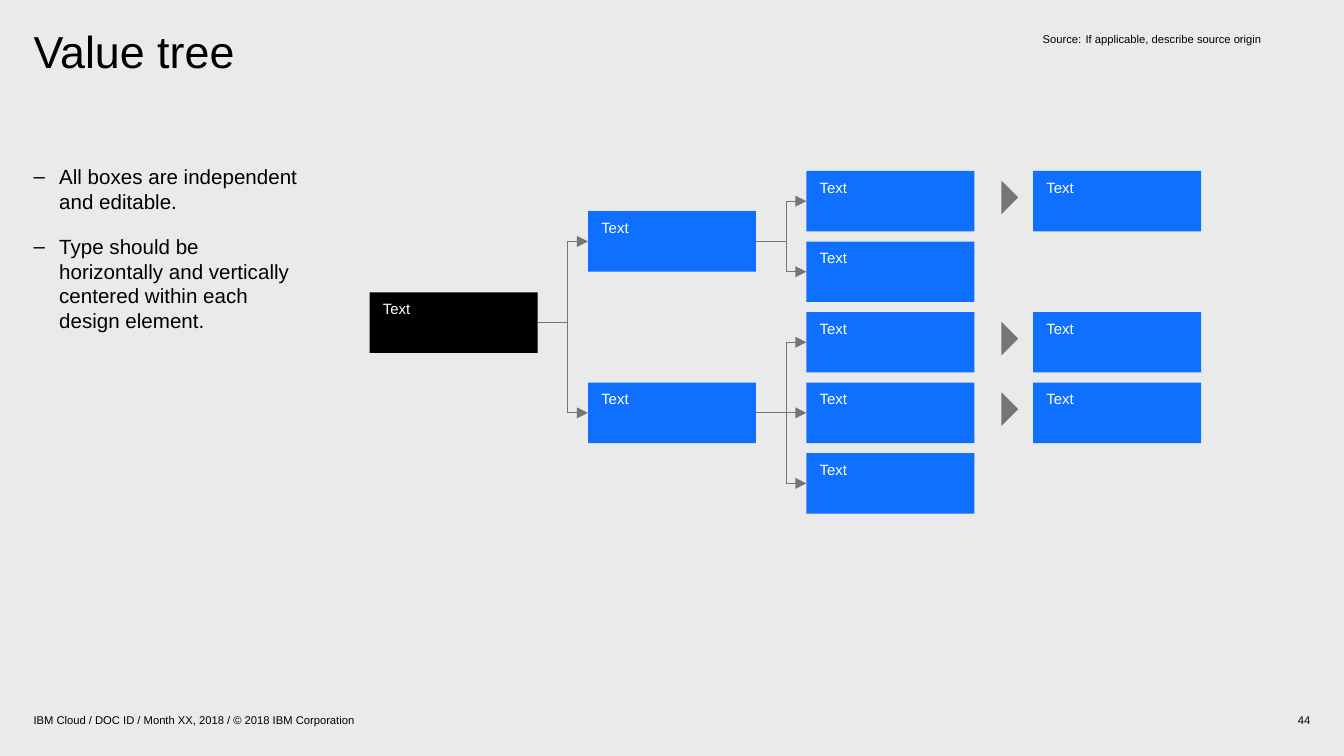
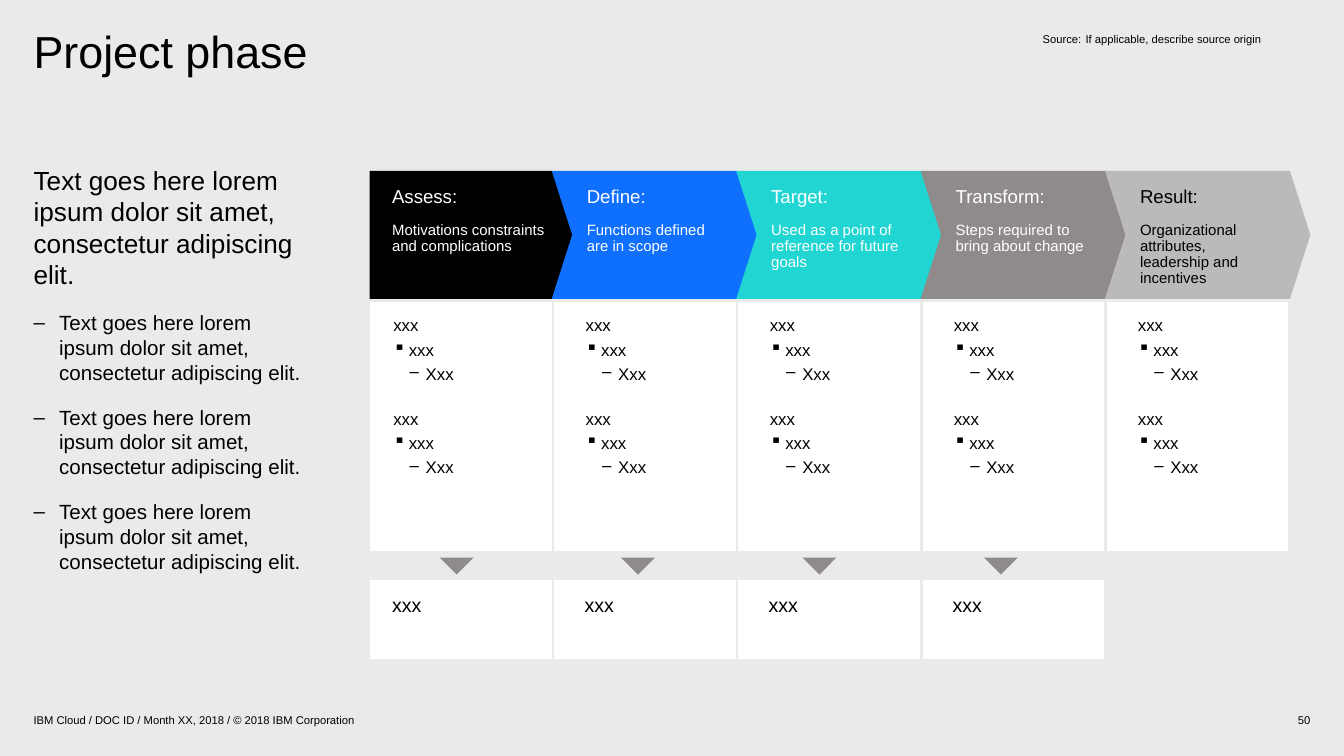
from lxml import etree
from pptx import Presentation
from pptx.dml.color import RGBColor
from pptx.enum.shapes import MSO_CONNECTOR, MSO_SHAPE
from pptx.enum.text import MSO_ANCHOR, MSO_AUTO_SIZE, PP_ALIGN
from pptx.oxml.ns import qn
from pptx.util import Pt

RECTANGLE = MSO_SHAPE.RECTANGLE
TRIANGLE = MSO_SHAPE.ISOSCELES_TRIANGLE
PENTAGON = MSO_SHAPE.PENTAGON
CHEVRON = MSO_SHAPE.CHEVRON
STRAIGHT = MSO_CONNECTOR.STRAIGHT
TOP, MIDDLE = MSO_ANCHOR.TOP, MSO_ANCHOR.MIDDLE
LEFT, RIGHT = PP_ALIGN.LEFT, PP_ALIGN.RIGHT
NO_FIT = MSO_AUTO_SIZE.NONE

FONT = "Arial"
BLACK, WHITE, PAPER = "000000", "FFFFFF", "EAEAEA"
BLUE, TEAL = "0F6FFF", "20D5D2"
LINE_GREY, MID_GREY, LIGHT_GREY = "757575", "8F8B8B", "BCB9B9"
NO_INSETS = (0, 0, 0, 0)
FOOTER = "IBM Cloud / DOC ID / Month XX, 2018 / © 2018 IBM Corporation"
SOURCE = "Source:\tIf applicable, describe source origin"
LOREM = "Text goes here lorem ipsum dolor sit amet, consectetur adipiscing elit."


def color(value):
    return RGBColor.from_string(value)


def apply(target, values):
    for name, value in values.items():
        setattr(target, name, value)


def line(text, size, ink=BLACK, level=0, left=0, hang=0, bullet=None, **layout):
    return dict(text=text, size=size, ink=ink, level=level, left=left,
                hang=hang, bullet=bullet, layout=layout)


def dash(text, before=11):
    return line(text, 11, level=1, left=13.7, hang=13.7, bullet="–", space_before=Pt(before))


class Deck:
    def __init__(self):
        self.file = Presentation()
        apply(self.file, {"slide_width": Pt(720), "slide_height": Pt(405)})
        background = self.file.slide_master.background.fill
        background.solid()
        background.fore_color.rgb = color(PAPER)
        self.page = None

    def add_page(self, title, number, body):
        self.page = self.file.slides.add_slide(self.file.slide_layouts[1])
        heading, content = self.page.placeholders
        self.place(heading, 18, 16, 324, 70.5)
        self.fill_text(heading, [line(title, 24, line_spacing=0.9, alignment=LEFT)])
        self.place(content, 18, 88, 144, 272)
        self.fill_text(content, body)
        self.label(540, 380, 162, 11, line(number, 6, alignment=RIGHT), anchor=MIDDLE)
        self.label(18, 380, 504, 11, line(FOOTER, 6), anchor=MIDDLE)
        self.label(551.5, 14.4, 150.5, 38, line(SOURCE, 6, left=23, hang=23),
                   insets=(7.2, 3, 7.2, 3))

    def place(self, box, left, top, width, height):
        apply(box, {"left": Pt(left), "top": Pt(top), "width": Pt(width), "height": Pt(height)})

    def fill_text(self, box, lines, insets=NO_INSETS, anchor=TOP):
        frame = box.text_frame
        sides = ("margin_left", "margin_top", "margin_right", "margin_bottom")
        apply(frame, {side: Pt(inset) for side, inset in zip(sides, insets)})
        apply(frame, {"word_wrap": True, "auto_size": NO_FIT, "vertical_anchor": anchor})
        for index, item in enumerate(lines):
            para = frame.add_paragraph() if index else frame.paragraphs[0]
            properties = para._p.get_or_add_pPr()
            properties.set("marL", str(Pt(item["left"])))
            properties.set("indent", str(-Pt(item["hang"])))
            if item["bullet"]:
                etree.SubElement(properties, qn("a:buChar")).set("char", item["bullet"])
            else:
                etree.SubElement(properties, qn("a:buNone"))
            apply(para, {"level": item["level"], "alignment": LEFT,
                         "space_before": Pt(0), **item["layout"]})
            span = para.add_run()
            span.text = item["text"]
            apply(span.font, {"name": FONT, "size": Pt(item["size"])})
            span.font.color.rgb = color(item["ink"])

    def label(self, left, top, width, height, item, insets=NO_INSETS, anchor=TOP):
        box = self.page.shapes.add_textbox(Pt(left), Pt(top), Pt(width), Pt(height))
        self.fill_text(box, [item], insets, anchor)

    def shape(self, kind, left, top, width, height, fill, border=None, turn=0):
        box = self.page.shapes.add_shape(kind, Pt(left), Pt(top), Pt(width), Pt(height))
        box.shadow.inherit = False
        box.rotation = turn
        box.fill.solid()
        box.fill.fore_color.rgb = color(fill)
        if border:
            box.line.color.rgb = color(border)
            box.line.width = Pt(0.25)
        else:
            box.line.fill.background()
        return box

    def pointer(self, left, top, fill, turn):
        self.shape(TRIANGLE, left, top, 18, 9, fill, turn=turn)

    def connect(self, x1, y1, x2, y2, arrow=False):
        link = self.page.shapes.add_connector(STRAIGHT, Pt(x1), Pt(y1), Pt(x2), Pt(y2))
        link.line.color.rgb = color(LINE_GREY)
        link.line.width = Pt(0.5)
        properties = link._element.spPr
        if arrow:
            etree.SubElement(properties.find(qn("a:ln")), qn("a:tailEnd")).set("type", "triangle")
        etree.SubElement(properties, qn("a:effectLst"))


NODE_WIDTH, NODE_HEIGHT = 90, 32.4
NODE_COLUMNS = (198, 315, 432, 553.5)
ROOT, UPPER, LOWER = 1.72, 0.57, 3
RESULT_ROWS = (0, 2, 3)
TREE = [(0, (ROOT,)), (1, (UPPER, LOWER)), (2, range(5)), (3, RESULT_ROWS)]
BRANCHES = [(0, ROOT, (UPPER, LOWER)), (1, UPPER, (0, 1)), (1, LOWER, (2, 3, 4))]


def row_top(row):
    return 91.6 + 37.8 * row


def row_middle(row):
    return row_top(row) + NODE_HEIGHT / 2


def add_branch(deck, column, parent, children):
    start = NODE_COLUMNS[column] + NODE_WIDTH
    end = NODE_COLUMNS[column + 1]
    trunk = end - 10.8
    for child in children:
        middle = row_middle(child)
        deck.connect(start if child == parent else trunk, middle, end, middle, arrow=True)
    deck.connect(trunk, row_middle(children[0]), trunk, row_middle(children[-1]))
    if parent not in children:
        deck.connect(start, row_middle(parent), trunk, row_middle(parent))


def add_value_tree(deck):
    deck.add_page("Value tree", "44", [
        dash("All boxes are independent and editable.", 0),
        dash("Type should be horizontally and vertically centered within each design element."),
    ])
    for column, rows in TREE:
        for row in rows:
            node = deck.shape(RECTANGLE, NODE_COLUMNS[column], row_top(row),
                              NODE_WIDTH, NODE_HEIGHT, BLUE if column else BLACK)
            deck.fill_text(node, [line("Text", 8, WHITE, line_spacing=0.9)], (7.2, 5, 7.2, 3.6))
    for row in RESULT_ROWS:
        deck.pointer(532, row_top(row) + 9.7, LINE_GREY, 90)
    for branch in BRANCHES:
        add_branch(deck, *branch)


PHASES = [
    ("Assess:", "Motivations constraints and complications", BLACK, WHITE),
    ("Define:", "Functions defined are in scope", BLUE, WHITE),
    ("Target:", "Used as a point of reference for future goals", TEAL, WHITE),
    ("Transform:", "Steps required to bring about change", MID_GREY, WHITE),
    ("Result:", "Organizational attributes, leadership and incentives", LIGHT_GREY, BLACK),
]
CARD_INSETS = (7.2, 7.2, 7.2, 3.6)


def card_lines(shift):
    lines = []
    for before in (0, 11):
        lines += [
            line("xxx", 9, left=5.6 + shift, space_before=Pt(before), space_after=Pt(2.2)),
            line("xxx", 9, level=1, left=13.9 + shift, hang=8.3, bullet="▪", space_after=Pt(2.2)),
            line("Xxx", 9, level=2, left=23 + shift, hang=8.6, bullet="–", space_after=Pt(2.2)),
        ]
    return lines


def add_card(deck, index, top, height, lines):
    card = deck.shape(RECTANGLE, 198 + 98.6 * index, top, 97.7, height, WHITE, PAPER)
    deck.fill_text(card, lines, CARD_INSETS)


def add_phase_head(deck, index, name, summary, fill, ink):
    left = 196.8 + 98.8 * index
    if index:
        head = deck.shape(CHEVRON, left, 91.6, 110, 68.5, fill)
    else:
        head = deck.shape(PENTAGON, 198, 91.6, 108.8, 68.5, fill)
    head.adjustments[0] = 0.16
    indent = 0.7 if index else 5
    deck.fill_text(head, [
        line(name, 10, ink, left=indent, line_spacing=0.9),
        line(summary, 8, ink, left=indent, line_spacing=0.9, space_before=Pt(8.3)),
    ], (7.2, 8.6, 7.2, 5))


def add_project_phase(deck):
    deck.add_page("Project phase", "50", [line(LOREM, 14)] + [dash(LOREM) for _ in range(3)])
    last = len(PHASES) - 1
    for index in range(len(PHASES)):
        shift = 4.5 if index else 0
        add_card(deck, index, 161.5, 134, card_lines(shift))
        if index < last:
            add_card(deck, index, 310.5, 42.5, [line("xxx", 10.5, left=5 + shift)])
            deck.pointer(235.6 + 97.2 * index, 298.8, MID_GREY, 180)
    for index, phase in enumerate(PHASES):
        add_phase_head(deck, index, *phase)


def main():
    deck = Deck()
    add_value_tree(deck)
    add_project_phase(deck)
    deck.file.save("out.pptx")


if __name__ == "__main__":
    main()
